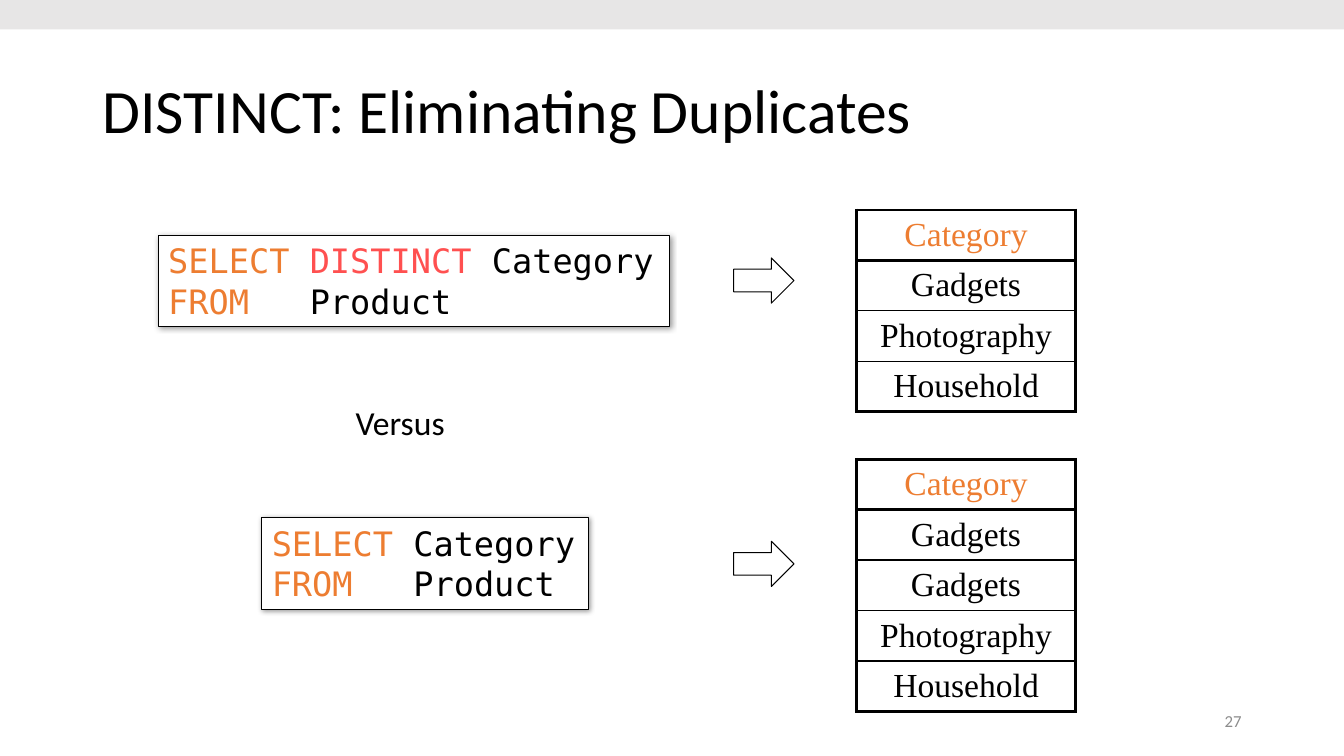
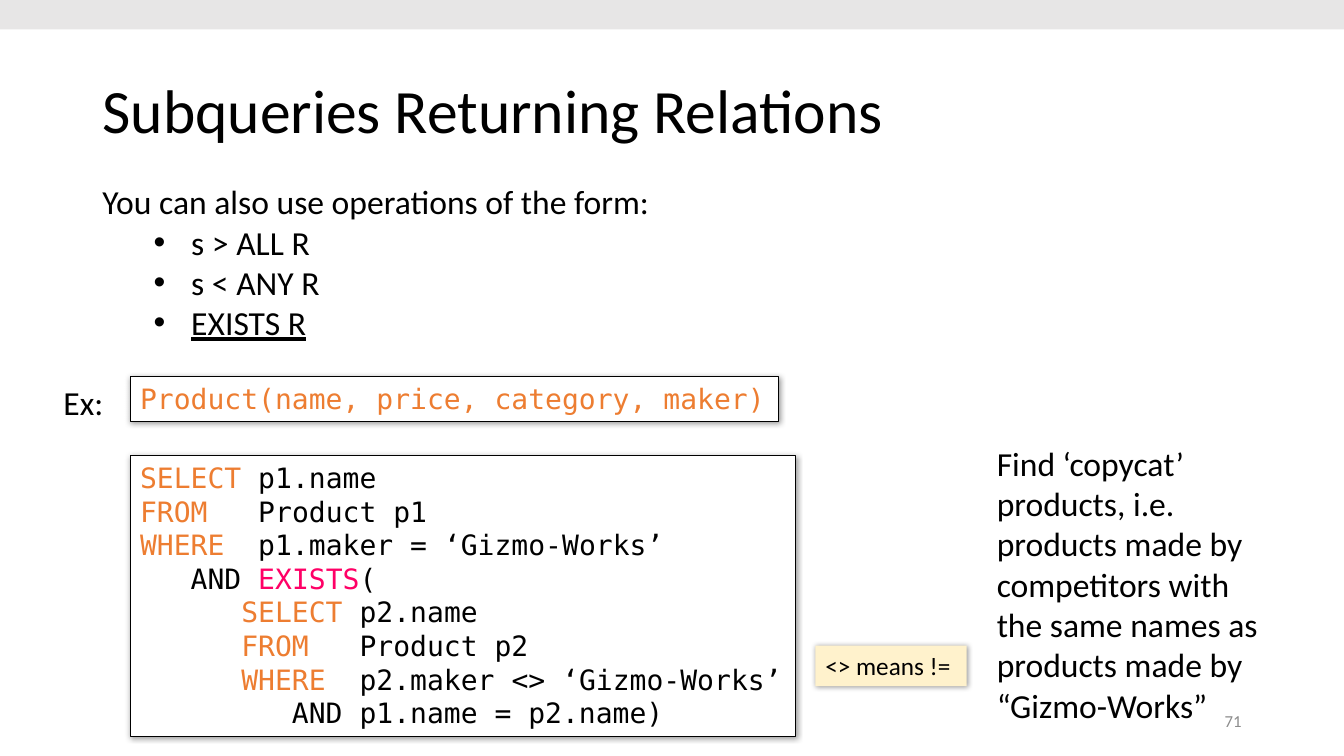
from dataclasses import dataclass

from lxml import etree
from pptx import Presentation
from pptx.dml.color import RGBColor
from pptx.enum.shapes import MSO_SHAPE
from pptx.enum.text import MSO_ANCHOR, MSO_AUTO_SIZE, PP_ALIGN
from pptx.oxml.ns import qn
from pptx.util import Cm, Pt

RECTANGLE = MSO_SHAPE.RECTANGLE
RIGHT_ARROW = MSO_SHAPE.RIGHT_ARROW
TOP, MIDDLE = MSO_ANCHOR.TOP, MSO_ANCHOR.MIDDLE
LEFT, CENTER, RIGHT = PP_ALIGN.LEFT, PP_ALIGN.CENTER, PP_ALIGN.RIGHT
NO_AUTOFIT = MSO_AUTO_SIZE.NONE
TITLE_ONLY = 5


@dataclass(frozen=True)
class Theme:
    ink: str = "000000"
    paper: str = "FFFFFF"
    keyword: str = "ED7D31"
    distinct: str = "FF5050"
    exists: str = "FF0066"
    band: str = "E7E6E6"
    note: str = "FFF2CC"
    number: str = "8C8C8C"
    body_font: str = "Calibri"
    code_font: str = "DejaVu Sans Mono"
    table_font: str = "Times New Roman"
    title_size: int = 44
    body_size: int = 24
    code_size: int = 20
    note_size: int = 18
    number_size: int = 12
    thin: float = 0.75
    inner_border: float = 1
    outer_border: float = 2.25


THEME = Theme()


def add_span(para, text, *, color=THEME.ink, size=THEME.body_size,
             font=THEME.body_font, underline=None):
    span = para.add_run()
    span.text = text
    span.font.name = font
    span.font.size = Pt(size)
    span.font.color.rgb = RGBColor.from_string(color)
    span.font.underline = underline


def keyword(text):
    return text, THEME.keyword


def place(left, top, width, height):
    return Cm(left), Cm(top), Cm(width), Cm(height)


def set_bullet(para):
    properties = para._p.get_or_add_pPr()
    properties.set("marL", str(Cm(2.24)))
    properties.set("indent", str(Cm(-0.95)))
    etree.SubElement(properties, qn("a:buFont"), typeface="Arial")
    etree.SubElement(properties, qn("a:buChar"), char="•")


def set_border(cell, side, width):
    border = etree.SubElement(cell._tc.get_or_add_tcPr(), qn(f"a:ln{side}"),
                              w=str(Pt(width)))
    fill = etree.SubElement(border, qn("a:solidFill"))
    etree.SubElement(fill, qn("a:srgbClr"), val=THEME.ink)


def add_shadow(shape):
    effects = shape._element.spPr.find(qn("a:effectLst"))
    shadow = etree.SubElement(effects, qn("a:outerShdw"), blurRad=str(Pt(4)),
                              dist=str(Pt(1)), dir="2700000", algn="tl")
    color = etree.SubElement(shadow, qn("a:srgbClr"), val=THEME.ink)
    etree.SubElement(color, qn("a:alpha"), val="40000")


class SlideBuilder:
    def __init__(self, deck, theme):
        self.deck = deck
        self.theme = theme
        self.slide = None

    def start(self, title, number):
        theme = self.theme
        self.slide = self.deck.slides.add_slide(
            self.deck.slide_layouts[TITLE_ONLY])
        self.shape(RECTANGLE, (0, 0, 33.87, 0.74), fill=theme.band)
        box = self.slide.shapes.title
        box.left, box.top, box.width, box.height = place(2.33, 1.01, 29.21, 3.68)
        frame = box.text_frame
        frame.auto_size = NO_AUTOFIT
        frame.vertical_anchor = MIDDLE
        para = frame.paragraphs[0]
        para.alignment = LEFT
        para.line_spacing = 0.9
        add_span(para, title, size=theme.title_size)
        self.text((23.92, 17.65, 7.62, 1.01), [number], anchor=MIDDLE,
                  align=RIGHT, size=theme.number_size, color=theme.number)

    def shape(self, kind, area, fill=None, line=None, shadow=False):
        shape = self.slide.shapes.add_shape(kind, *place(*area))
        shape.shadow.inherit = False
        if fill:
            shape.fill.solid()
            shape.fill.fore_color.rgb = RGBColor.from_string(fill)
        else:
            shape.fill.background()
        if line:
            shape.line.color.rgb = RGBColor.from_string(line)
            shape.line.width = Pt(self.theme.thin)
        else:
            shape.line.fill.background()
        if shadow:
            add_shadow(shape)
        return shape

    def fill_frame(self, frame, lines, anchor=TOP, align=LEFT, **style):
        frame.word_wrap = True
        frame.vertical_anchor = anchor
        for index, line in enumerate(lines):
            para = frame.paragraphs[0] if index == 0 else frame.add_paragraph()
            para.alignment = align
            for part in [line] if isinstance(line, str) else line:
                if isinstance(part, str):
                    add_span(para, part, **style)
                else:
                    text, color = part
                    add_span(para, text, **{**style, "color": color})

    def text(self, area, lines, **style):
        box = self.slide.shapes.add_textbox(*place(*area))
        self.fill_frame(box.text_frame, lines, **style)
        return box

    def code(self, area, lines, size):
        box = self.shape(RECTANGLE, area, self.theme.paper, self.theme.ink, True)
        self.fill_frame(box.text_frame, lines, size=size,
                        font=self.theme.code_font)

    def note(self, area, text):
        box = self.shape(RECTANGLE, area, self.theme.note, shadow=True)
        self.fill_frame(box.text_frame, [text], size=self.theme.note_size)

    def arrow(self, top):
        self.shape(RIGHT_ARROW, (18.49, top, 1.52, 1.14), line=self.theme.ink)

    def bullets(self, area, intro, items, underlined):
        frame = self.text(area, [intro]).text_frame
        for item in items:
            para = frame.add_paragraph()
            set_bullet(para)
            add_span(para, item, underline=item == underlined or None)

    def column(self, top, header, values):
        theme = self.theme
        rows = [header, *values]
        height = 1.27
        area = place(21.59, top, 5.51, height * len(rows))
        table = self.slide.shapes.add_table(len(rows), 1, *area).table
        table.first_row = table.horz_banding = False
        last = len(rows) - 1
        for index, value in enumerate(rows):
            cell = table.cell(index, 0)
            above = theme.outer_border if index < 2 else theme.inner_border
            below = (theme.outer_border if index in (0, last)
                     else theme.inner_border)
            for side, width in (("L", theme.outer_border),
                                ("R", theme.outer_border),
                                ("T", above), ("B", below)):
                set_border(cell, side, width)
            cell.fill.background()
            cell.vertical_anchor = MIDDLE
            para = cell.text_frame.paragraphs[0]
            para.alignment = CENTER
            add_span(para, value, font=theme.table_font,
                     color=theme.ink if index else theme.keyword)


def build_distinct(builder):
    theme = builder.theme
    builder.start("DISTINCT: Eliminating Duplicates", "27")
    from_product = [keyword("FROM   "), "Product"]
    builder.code((3.99, 5.93, 12.88, 2.31),
                 [[keyword("SELECT "), ("DISTINCT ", theme.distinct), "Category"],
                  from_product], theme.body_size)
    builder.text((8.71, 10.01, 4, 1.27), ["Versus"])
    builder.code((6.6, 13.05, 8.23, 2.31),
                 [[keyword("SELECT"), " Category"], from_product],
                 theme.body_size)
    distinct_values = ["Gadgets", "Photography", "Household"]
    builder.column(5.29, "Category", distinct_values)
    builder.column(11.57, "Category", ["Gadgets", *distinct_values])
    for top in (6.5, 13.64):
        builder.arrow(top)


def build_subqueries(builder):
    theme = builder.theme
    builder.start("Subqueries Returning Relations", "71")
    builder.bullets((2.33, 4.44, 15.19, 4.37),
                    "You can also use operations of the form:",
                    ["s > ALL R", "s < ANY R", "EXISTS R"], "EXISTS R")
    builder.text((1.35, 9.5, 2, 1.27), ["Ex:"])
    builder.code((3.28, 9.5, 16.33, 1.12),
                 [[keyword("Product(name, price, category, maker)")]],
                 theme.code_size)
    builder.code((3.28, 11.48, 16.76, 7.09), [
        [keyword("SELECT"), " p1.name"],
        [keyword("FROM"), "   Product p1"],
        [keyword("WHERE"), "  p1.maker = ‘Gizmo-Works’"],
        ["   AND", (" EXISTS", theme.exists), "("],
        [keyword("      SELECT"), " p2.name"],
        [keyword("      FROM"), "   Product p2"],
        [keyword("      WHERE"), "  p2.maker <> ‘Gizmo-Works’"],
        "         AND p1.name = p2.name)",
    ], theme.code_size)
    builder.text((24.87, 11.03, 7.49, 7.44),
                 ["Find ‘copycat’ products, i.e. products made by competitors "
                  "with the same names as products made by “Gizmo-Works”"])
    builder.note((20.55, 16.27, 3.81, 1.02), "<> means !=")


def main():
    deck = Presentation()
    deck.slide_width, deck.slide_height = Cm(33.87), Cm(19.05)
    builder = SlideBuilder(deck, THEME)
    build_distinct(builder)
    build_subqueries(builder)
    deck.save("out.pptx")


if __name__ == "__main__":
    main()
